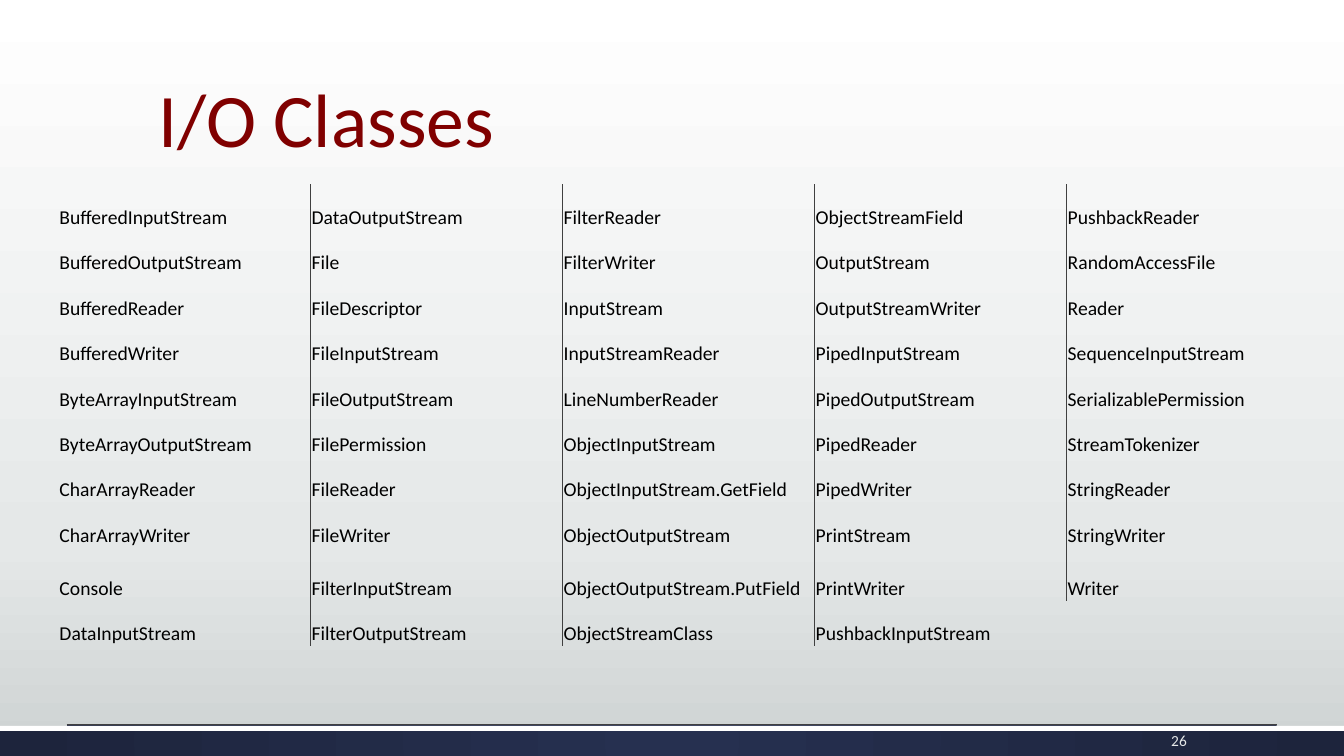
from dataclasses import dataclass

from pptx import Presentation
from pptx import util as u
from pptx.dml.color import RGBColor
from pptx.enum import shapes, text
from pptx.oxml import parse_xml
from pptx.oxml.ns import nsdecls, qn

SCALE = 9144
FONT = "Calibri"
NO_STYLE = "{2D5ABB26-0587-4C30-8999-92F81FD0307C}"
COLORS = {
    "title": "800000",
    "body": "000000",
    "rule": "404040",
    "number": "E5E8E8",
    "white": "FFFFFF",
    "mist": "E5E8E8",
    "stone": "CDD2D2",
    "navy": "263050",
    "midnight": "1D243C",
}
COLUMN_WIDTH = 250
ROW_HEIGHTS = [45] * 8 + [53, 45]
CLASS_COLUMNS = [
    """BufferedInputStream BufferedOutputStream BufferedReader BufferedWriter
    ByteArrayInputStream ByteArrayOutputStream CharArrayReader CharArrayWriter
    Console DataInputStream""".split(),
    """DataOutputStream File FileDescriptor FileInputStream FileOutputStream
    FilePermission FileReader FileWriter FilterInputStream
    FilterOutputStream""".split(),
    """FilterReader FilterWriter InputStream InputStreamReader LineNumberReader
    ObjectInputStream ObjectInputStream.GetField ObjectOutputStream
    ObjectOutputStream.PutField ObjectStreamClass""".split(),
    """ObjectStreamField OutputStream OutputStreamWriter PipedInputStream
    PipedOutputStream PipedReader PipedWriter PrintStream PrintWriter
    PushbackInputStream""".split(),
    """PushbackReader RandomAccessFile Reader SequenceInputStream
    SerializablePermission StreamTokenizer StringReader StringWriter
    Writer""".split(),
]


@dataclass(frozen=True)
class Area:
    left: int
    top: int
    width: int
    height: int

    def emu(self) -> list[int]:
        return [px(n) for n in (self.left, self.top, self.width, self.height)]


@dataclass(frozen=True)
class Band:
    area: Area
    color: str


TITLE = Area(147, 51, 1128, 117)
NUMBER = Area(1117, 722, 70, 26)
TABLE = Area(58, 183, COLUMN_WIDTH * len(CLASS_COLUMNS), sum(ROW_HEIGHTS))
BANDS = [
    Band(Area(0, 720, 1333, 30), "navy"),
    Band(Area(0, 720, 1333, 5), "white"),
]


def px(length: int) -> u.Emu:
    return u.Emu(length * SCALE)


def rgb(name: str) -> RGBColor:
    return RGBColor.from_string(COLORS[name])


def apply(target, values: dict) -> None:
    for name, value in values.items():
        setattr(target, name, value)


def write(frame, words: str, size: int, color: str, **layout) -> None:
    para = frame.paragraphs[0]
    apply(para, layout)
    span = para.add_run()
    span.text = words
    apply(span.font, {"name": FONT, "size": u.Pt(size)})
    span.font.color.rgb = rgb(color)


def set_stops(owner, stops: list[tuple[int, str]]) -> None:
    stop_list = next(owner.iter(qn("a:gsLst")))
    for stop in list(stop_list):
        stop_list.remove(stop)
    for position, color in stops:
        stop_list.append(parse_xml(
            f'<a:gs {nsdecls("a")} pos="{position * 1000}">'
            f'<a:srgbClr val="{COLORS[color]}"/></a:gs>'))


def paint_background(page) -> None:
    fill = page.background.fill
    fill.gradient()
    fill.gradient_angle = 270
    set_stops(page.element, [(0, "white"), (72, "mist"), (100, "stone")])


def add_band(page, band: Band):
    box = page.shapes.add_shape(shapes.MSO_SHAPE.RECTANGLE, *band.area.emu())
    box.shadow.inherit = False
    box.line.fill.background()
    box.fill.solid()
    box.fill.fore_color.rgb = rgb(band.color)
    return box


def glow_from_center(box) -> None:
    box.fill.gradient()
    set_stops(box.element, [(0, "navy"), (100, "midnight")])
    linear = next(box.element.iter(qn("a:lin")))
    linear.getparent().replace(linear, parse_xml(
        f'<a:path {nsdecls("a")} path="circle">'
        '<a:fillToRect l="50000" t="50000" r="50000" b="50000"/></a:path>'))


def add_footer_rule(page) -> None:
    rule = page.shapes.add_connector(
        shapes.MSO_CONNECTOR.STRAIGHT, px(66), px(719), px(1267), px(719))
    rule.line.color.rgb = rgb("rule")
    rule.line.width = u.Pt(0.75)
    rule.element.spPr.append(parse_xml(f'<a:effectLst {nsdecls("a")}/>'))


def set_borders(cell, sides: list[str]) -> None:
    properties = cell._tc.get_or_add_tcPr()
    for index, side in enumerate(sides):
        properties.insert(index, parse_xml(
            f'<a:ln{side} {nsdecls("a")} w="12700"><a:solidFill>'
            f'<a:srgbClr val="{COLORS["rule"]}"/></a:solidFill></a:ln{side}>'))


def add_class_table(page) -> None:
    count = len(CLASS_COLUMNS)
    table = page.shapes.add_table(
        len(ROW_HEIGHTS), count, *TABLE.emu()).table
    apply(table, {"first_row": False, "horz_banding": False})
    next(table._tbl.iter(qn("a:tableStyleId"))).text = NO_STYLE
    for column in table.columns:
        column.width = px(COLUMN_WIDTH)
    for row, height in zip(table.rows, ROW_HEIGHTS):
        row.height = px(height)
    last = len(ROW_HEIGHTS) - 1
    table.cell(last, count - 2).merge(table.cell(last, count - 1))
    for column, names in enumerate(CLASS_COLUMNS):
        for row, name in enumerate(names):
            cell = table.cell(row, column)
            apply(cell, {
                "margin_left": px(1), "margin_right": px(1),
                "margin_top": px(1), "margin_bottom": 0,
                "vertical_anchor": text.MSO_ANCHOR.BOTTOM,
            })
            cell.fill.background()
            write(cell.text_frame, name, 14, "body")
            right_edge = column + cell.span_width if cell.is_merge_origin else column + 1
            sides = ["L"] if column else []
            set_borders(cell, sides + (["R"] if right_edge < count else []))


def main() -> None:
    deck = Presentation()
    apply(deck, {"slide_width": px(1333), "slide_height": px(750)})
    page = deck.slides.add_slide(deck.slide_layouts[5])
    paint_background(page)

    bar, _ = [add_band(page, band) for band in BANDS]
    glow_from_center(bar)
    add_footer_rule(page)

    title = page.shapes.title
    apply(title, dict(zip(("left", "top", "width", "height"), TITLE.emu())))
    apply(title.text_frame, {
        "vertical_anchor": text.MSO_ANCHOR.BOTTOM,
        "auto_size": text.MSO_AUTO_SIZE.NONE,
        "word_wrap": True,
    })
    write(title.text_frame, "I/O Classes", 54, "title",
          alignment=text.PP_ALIGN.LEFT, line_spacing=0.9)

    number = page.shapes.add_textbox(*NUMBER.emu()).text_frame
    apply(number, {"vertical_anchor": text.MSO_ANCHOR.MIDDLE, "word_wrap": True})
    write(number, "26", 11, "number", alignment=text.PP_ALIGN.RIGHT)

    add_class_table(page)
    deck.save("out.pptx")


if __name__ == "__main__":
    main()
